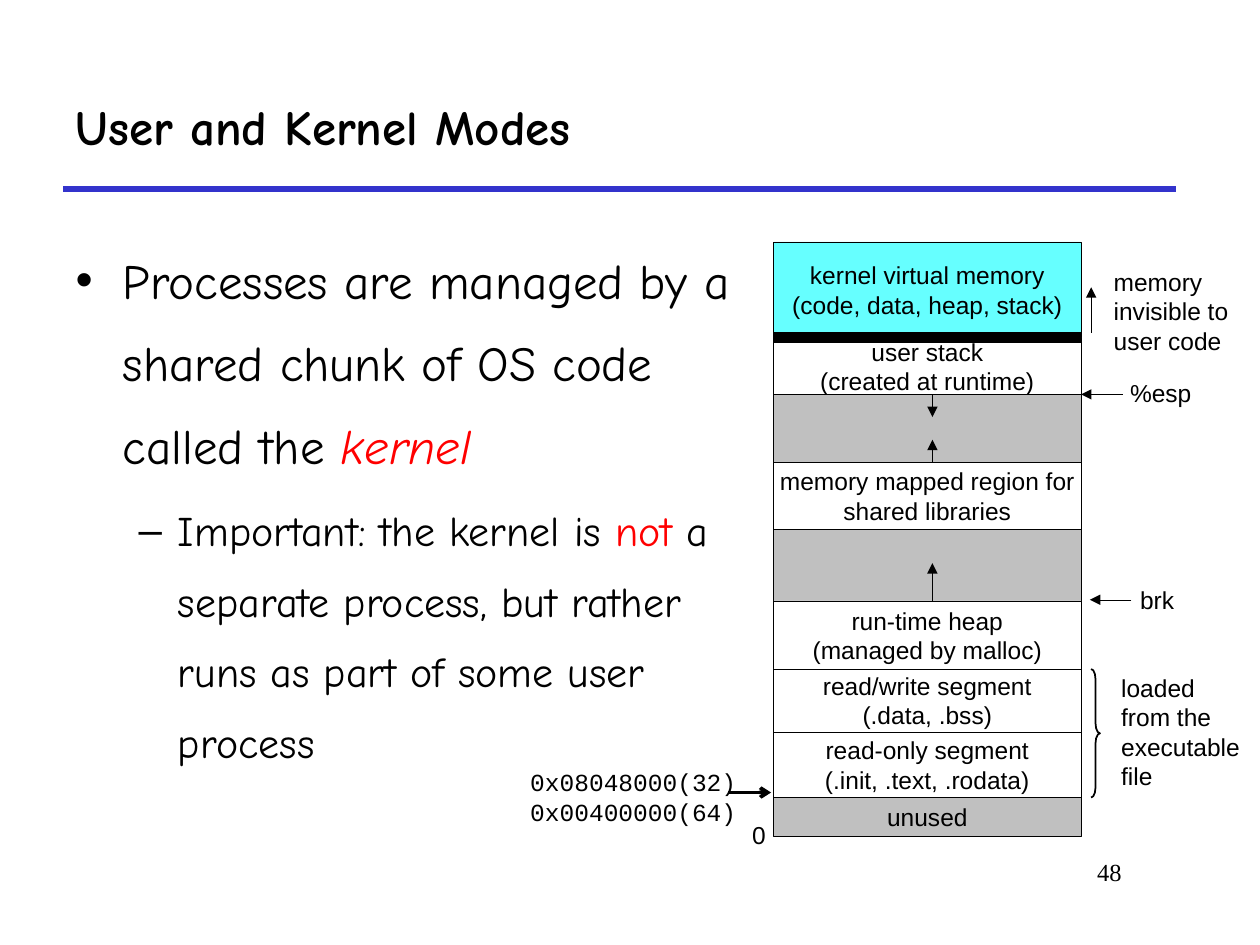
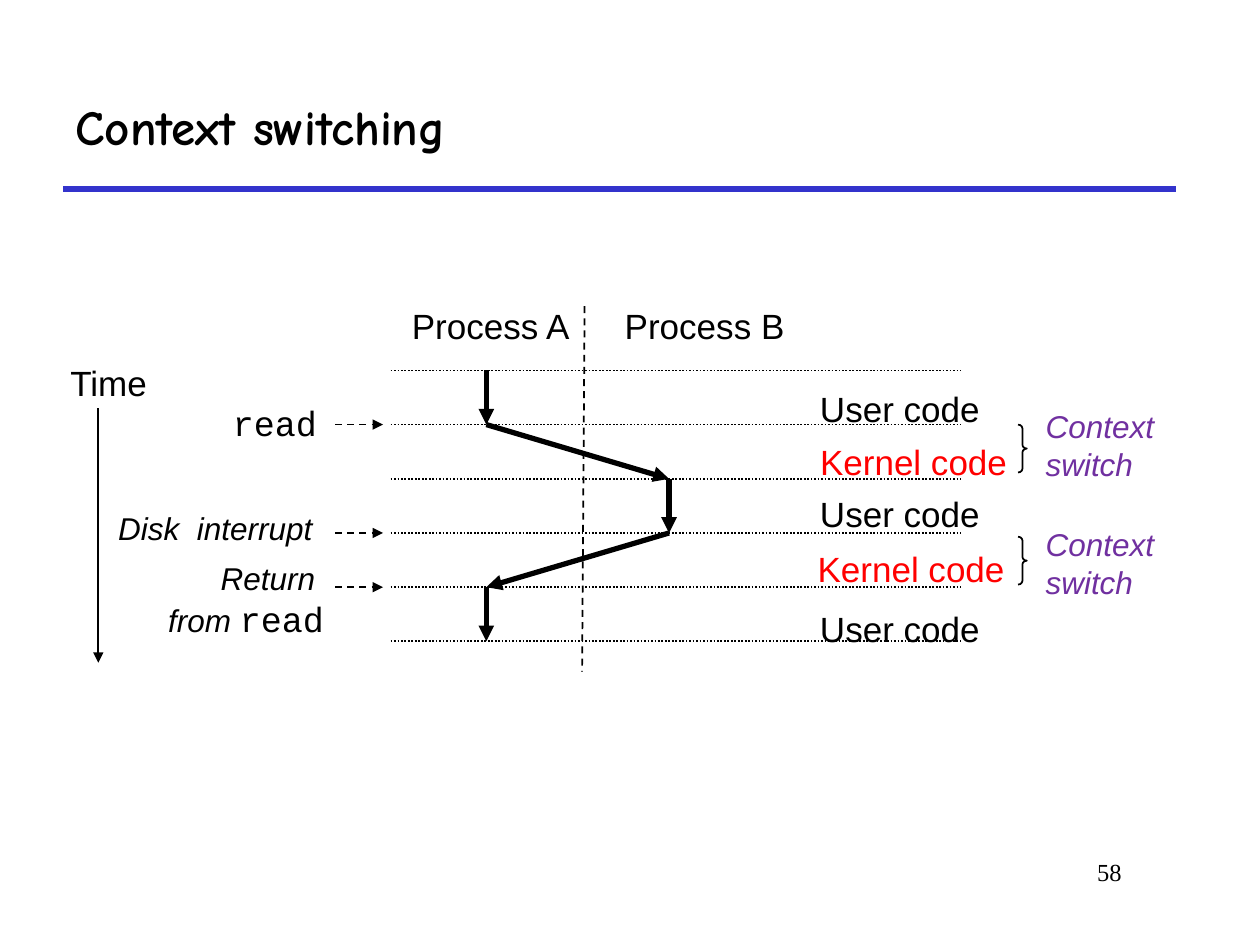
from pptx import Presentation
from pptx.dml.color import RGBColor
from pptx.enum.dml import MSO_LINE
from pptx.enum.shapes import MSO_CONNECTOR, MSO_SHAPE
from pptx.enum.text import MSO_ANCHOR, MSO_AUTO_SIZE, PP_ALIGN
from pptx.oxml.ns import qn
from pptx.util import Inches, Pt

STRAIGHT = MSO_CONNECTOR.STRAIGHT
RECTANGLE, RIGHT_BRACE = MSO_SHAPE.RECTANGLE, MSO_SHAPE.RIGHT_BRACE
LEFT, CENTER, RIGHT = PP_ALIGN.LEFT, PP_ALIGN.CENTER, PP_ALIGN.RIGHT
MIDDLE = MSO_ANCHOR.MIDDLE
NO_FIT, GROW = MSO_AUTO_SIZE.NONE, MSO_AUTO_SIZE.SHAPE_TO_FIT_TEXT
DASH, DOTS = MSO_LINE.DASH, MSO_LINE.ROUND_DOT

BLACK, WHITE, GREY, CYAN = "000000", "FFFFFF", "C0C0C0", "66FFFF"
BLUE, RED, PURPLE = "3333CC", "FF0000", "7030A0"

# Text formats
TITLE = {"name": "Comic Neue", "size": 28, "bold": True, "color": BLACK}
POINT = {"name": "Comic Neue", "size": 28, "color": BLACK}
SUBPOINT = {**POINT, "size": 24}
NUMBER = {"name": "Times New Roman", "size": 14, "color": BLACK}
SMALL = {"name": "Arial", "size": 14, "color": BLACK}
ADDRESS = {**SMALL, "name": "Courier New"}
LABEL = {**SMALL, "size": 20}
CODE = {**LABEL, "name": "Courier New"}
EVENT = {**SMALL, "size": 18, "italic": True}
SWITCH = {**EVENT, "color": PURPLE}

# Shared frame: left, top, width, height
TITLE_BOX = (0.5, 0.5, 8.83, 1)
NUMBER_BOX = (7.58, 6.75, 1.42, 0.5)
RULE_Y = 1.5

# Slide 1: points as (level, space before, runs)
BODY_BOX = (0.5, 1.75, 5.52, 4.83)
POINTS = [
    (0, 0, [("Processes are managed by a shared chunk of OS code called the ", POINT),
            ("kernel", {**POINT, "color": RED, "italic": True})]),
    (1, 6, [("Important: the kernel is ", SUBPOINT),
            ("not", {**SUBPOINT, "color": RED}),
            (" a separate process, but rather runs as part of some user process",
             SUBPOINT)]),
]

# Memory regions from the highest address down: height, fill, lines
MEMORY_LEFT, MEMORY_TOP, MEMORY_WIDTH = 6.14, 1.92, 2.44
MEMORY_RIGHT = MEMORY_LEFT + MEMORY_WIDTH
REGIONS = [
    (0.76, CYAN, ["kernel virtual memory", "(code, data, heap, stack)"]),
    (0.45, WHITE, ["user stack", "(created at runtime)"]),
    (0.54, GREY, []),
    (0.53, WHITE, ["memory mapped region for", "shared libraries"]),
    (0.57, GREY, []),
    (0.54, WHITE, ["run-time heap", "(managed by malloc)"]),
    (0.5, WHITE, ["read/write segment", "(.data, .bss)"]),
    (0.52, WHITE, ["read-only segment", "(.init, .text, .rodata)"]),
    (0.31, GREY, ["unused"]),
]
GROWTH_X = 7.4
# Growth arrows: index of the region edge, signed length
GROWTH = [(2, 0.18), (3, -0.18), (5, -0.3)]
# Notes: box, lines, format, wrap
MEMORY_NOTES = [
    ((5.87, 6.46, 0.31, 0.34), ["0"], SMALL, False),
    ((8.87, 2.95, 0.69, 0.34), ["%esp"], SMALL, False),
    ((8.74, 2.07, 1.11, 0.8), ["memory", "invisible to", "user code"], SMALL, False),
    ((8.95, 4.59, 0.47, 0.34), ["brk"], SMALL, False),
    ((8.8, 5.29, 1.2, 1.04), ["loaded from the", "executable file"], SMALL, True),
    ((4.11, 6.04, 1.84, 0.34), ["0x08048000(32)"], ADDRESS, False),
    ((4.11, 6.28, 1.84, 0.34), ["0x00400000(64)"], ADDRESS, False),
]

# Slide 2
ROW_TOP, ROW_STEP, ROW_COUNT = 2.94, 0.43, 6
ROW_LEFT, ROW_RIGHT = 3.1, 7.63
PROCESS_A_X, PROCESS_B_X = 3.86, 5.31
# Path of control: column and row at each end
CONTROL = [
    (PROCESS_A_X, 0, PROCESS_A_X, 1),
    (PROCESS_A_X, 1, PROCESS_B_X, 2),
    (PROCESS_B_X, 2, PROCESS_B_X, 3),
    (PROCESS_B_X, 3, PROCESS_A_X, 4),
    (PROCESS_A_X, 4, PROCESS_A_X, 5),
]
EVENT_ROWS = (1, 3, 4)
HEADINGS = [(3.17, 2.37, 1.47, "Process A"), (4.86, 2.37, 1.47, "Process B"),
            (0.46, 2.82, 0.82, "Time")]
USER, KERNEL = ("User code", 1.47, BLACK), ("Kernel code", 1.75, RED)
MODES = [(6.41, 3.03, USER), (6.41, 3.45, KERNEL), (6.41, 3.86, USER),
         (6.39, 4.3, KERNEL), (6.41, 4.77, USER)]
# Context switches: top of brace, top of text
SWITCHES = [(3.37, 3.18), (4.26, 4.12)]
EVENTS = [
    ((1.75, 3.14, 0.87, 0.44), [[("read", CODE)]], LEFT),
    ((0.84, 3.99, 1.74, 0.4), [[("Disk  interrupt", EVENT)]], LEFT),
    ((1.23, 4.39, 1.44, 0.74),
     [[("Return ", EVENT)], [("from ", EVENT), ("read", CODE)]], RIGHT),
]


def rgb(color):
    return RGBColor.from_string(color)


def inches(*lengths):
    return [Inches(length) for length in lengths]


def add_runs(paragraph, runs):
    for text, text_format in runs:
        run = paragraph.add_run()
        run.text = text
        for key, value in text_format.items():
            if key == "color":
                run.font.color.rgb = rgb(value)
            else:
                setattr(run.font, key, Pt(value) if key == "size" else value)


def write(frame, paragraphs, align=LEFT):
    """Fill a text frame; each paragraph is a list of (text, format) runs."""
    for index, runs in enumerate(paragraphs):
        paragraph = frame.add_paragraph() if index else frame.paragraphs[0]
        paragraph.alignment = align
        add_runs(paragraph, runs)


def plain(lines, text_format):
    return [[(line, text_format)] for line in lines]


def add_text(slide, box, paragraphs, align=LEFT, wrap=False):
    frame = slide.shapes.add_textbox(*inches(*box)).text_frame
    frame.word_wrap = wrap
    frame.auto_size = GROW
    write(frame, paragraphs, align)


def add_line(slide, start, end, width=1, color=BLACK, dash=None, head=None):
    line = slide.shapes.add_connector(STRAIGHT, *inches(*start, *end))
    line.line.color.rgb = rgb(color)
    line.line.width = Pt(width)
    if dash:
        line.line.dash_style = dash
    properties = line._element.spPr
    if head:
        outline = line.line._get_or_add_ln()
        outline.append(outline.makeelement(qn("a:tailEnd"), {"type": head}))
    properties.append(properties.makeelement(qn("a:effectLst"), {}))


def add_shape(slide, kind, box, width, fill=None):
    shape = slide.shapes.add_shape(kind, *inches(*box))
    shape.shadow.inherit = False
    shape.line.color.rgb = rgb(BLACK)
    shape.line.width = Pt(width)
    if fill:
        shape.fill.solid()
        shape.fill.fore_color.rgb = rgb(fill)
    else:
        shape.fill.background()
    return shape


def add_brace(slide, left, top, height, curve):
    """Right brace; curve is the height of its bends in inches."""
    width = 0.07
    brace = add_shape(slide, RIGHT_BRACE, (left, top, width, height), 1)
    brace.adjustments[0] = curve / width


def place(placeholder, box):
    placeholder.left, placeholder.top, placeholder.width, placeholder.height = inches(*box)
    placeholder.text_frame.auto_size = NO_FIT
    return placeholder.text_frame


def add_slide(presentation, layout, title, number):
    slide = presentation.slides.add_slide(presentation.slide_layouts[layout])
    frame = place(slide.shapes.title, TITLE_BOX)
    frame.vertical_anchor = MIDDLE
    write(frame, plain([title], TITLE))
    add_line(slide, (0.5, RULE_Y), (9.33, RULE_Y), 3, BLUE)
    add_text(slide, NUMBER_BOX, plain([number], NUMBER), RIGHT, wrap=True)
    return slide


def build_memory_slide(presentation):
    slide = add_slide(presentation, 1, "User and Kernel Modes", "48")
    frame = place(slide.placeholders[1], BODY_BOX)
    write(frame, [runs for _, _, runs in POINTS])
    for paragraph, (level, space, _) in zip(frame.paragraphs, POINTS):
        paragraph.level = level
        paragraph.line_spacing = 1.4
        paragraph.space_before = Pt(space)

    edges = [MEMORY_TOP]
    for height, fill, lines in REGIONS:
        box = (MEMORY_LEFT, edges[-1], MEMORY_WIDTH, height)
        region = add_shape(slide, RECTANGLE, box, 0.25, fill)
        region.text_frame.word_wrap = False
        region.text_frame.vertical_anchor = MIDDLE
        write(region.text_frame, plain(lines, SMALL), CENTER)
        edges.append(edges[-1] + height)

    kernel_y, stack_y, heap_y = edges[1], edges[2], edges[5]
    add_line(slide, (MEMORY_LEFT, kernel_y), (MEMORY_RIGHT, kernel_y), 6)
    for edge, length in GROWTH:
        add_line(slide, (GROWTH_X, edges[edge]), (GROWTH_X, edges[edge] + length),
                 0.25, head="triangle")
    for start, end in [((8.91, stack_y), (MEMORY_RIGHT, stack_y)),
                       ((8.66, 2.64), (8.66, 2.28)),
                       ((8.98, heap_y - 0.01), (8.65, heap_y - 0.01))]:
        add_line(slide, start, end, 0.25, head="triangle")
    add_line(slide, (5.78, 6.29), (6.12, 6.29), 2, head="arrow")
    add_brace(slide, 8.66, edges[6], edges[8] - edges[6], 0.08)
    for box, lines, text_format, wrap in MEMORY_NOTES:
        add_text(slide, box, plain(lines, text_format), wrap=wrap)


def build_switching_slide(presentation):
    slide = add_slide(presentation, 5, "Context switching", "58")
    rows = [ROW_TOP + ROW_STEP * row for row in range(ROW_COUNT)]
    for y in rows:
        add_line(slide, (ROW_LEFT, y), (ROW_RIGHT, y), dash=DOTS)
    add_line(slide, (4.64, 2.43), (4.62, 5.33), dash=DASH)
    add_line(slide, (0.78, 3.24), (0.78, 5.26), head="triangle")
    for start_x, start_row, end_x, end_row in CONTROL:
        add_line(slide, (start_x, rows[start_row]), (end_x, rows[end_row]),
                 3, head="triangle")
    for row in EVENT_ROWS:
        add_line(slide, (2.66, rows[row]), (3.04, rows[row]), dash=DASH, head="triangle")

    for left, top, width, text in HEADINGS:
        add_text(slide, (left, top, width, 0.44), plain([text], LABEL))
    for left, top, (text, width, color) in MODES:
        add_text(slide, (left, top, width, 0.44), plain([text], {**LABEL, "color": color}))
    for brace_top, text_top in SWITCHES:
        add_brace(slide, 8.08, brace_top, 0.38, 0.03)
        add_text(slide, (8.2, text_top, 1.13, 0.7), plain(["Context", "switch"], SWITCH))
    for box, paragraphs, align in EVENTS:
        add_text(slide, box, paragraphs, align)


def main():
    presentation = Presentation()
    presentation.slide_width, presentation.slide_height = inches(10, 7.5)
    build_memory_slide(presentation)
    build_switching_slide(presentation)
    presentation.save("out.pptx")


if __name__ == "__main__":
    main()
